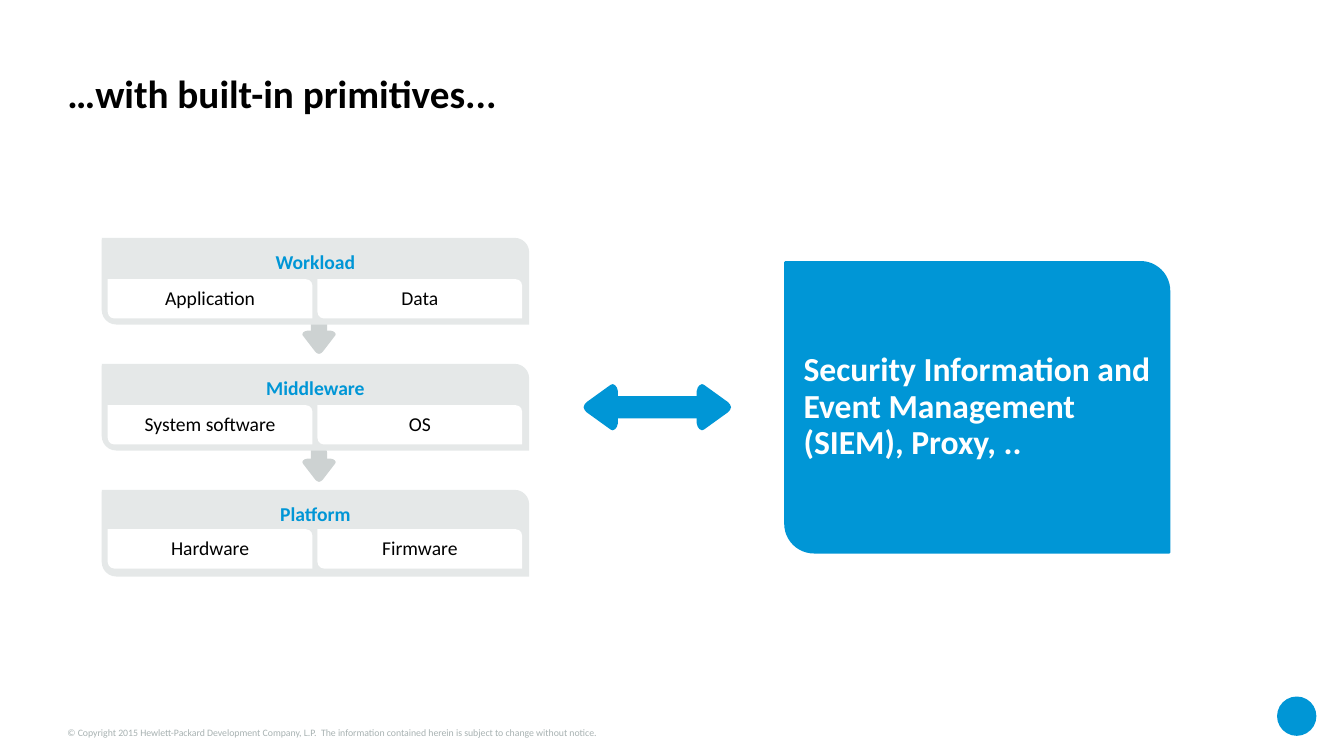
from dataclasses import dataclass

from pptx import Presentation
from pptx.dml.color import RGBColor
from pptx.enum.shapes import MSO_SHAPE as Preset
from pptx.enum.text import MSO_ANCHOR as Anchor, PP_ALIGN as Align
from pptx.util import Pt


@dataclass(frozen=True)
class Theme:
    font: str = "Calibri"
    blue: str = "0096D6"
    card: str = "E5E8E8"
    arrow: str = "CDD2D2"
    white: str = "FFFFFF"
    black: str = "000000"
    muted: str = "A8B2B2"
    title: int = 28
    statement: int = 24
    label: int = 14
    footer: int = 7


HEAD_EDGE = [(0, 0.7), (0.03, 0.85), (0.08, 0.95), (0.15, 1), (0.21, 0.97),
             (0.91, 0.22), (0.97, 0.12), (1, 0)]
HEAD_OUTLINE = HEAD_EDGE + [(along, -across) for along, across in HEAD_EDGE[-2::-1]]


class SlideBuilder:
    def __init__(self, slide, theme):
        self.slide = slide
        self.theme = theme

    def paint(self, shape, color):
        shape.shadow.inherit = False
        shape.fill.solid()
        shape.fill.fore_color.rgb = RGBColor.from_string(color)
        shape.line.fill.background()
        return shape

    def set_text(self, shape, text, size, color, bold=False, align=Align.LEFT,
                 anchor=Anchor.MIDDLE, insets=(0, 0), spacing=0.9):
        frame = shape.text_frame
        frame.word_wrap = True
        frame.vertical_anchor = anchor
        frame.margin_left = frame.margin_right = Pt(insets[0])
        frame.margin_top = frame.margin_bottom = Pt(insets[1])
        paragraph = frame.paragraphs[0]
        paragraph.text = text
        paragraph.alignment = align
        paragraph.line_spacing = spacing
        paragraph.font.name = self.theme.font
        paragraph.font.size = Pt(size)
        paragraph.font.bold = bold
        paragraph.font.color.rgb = RGBColor.from_string(color)

    def text_box(self, left, top, width, height, text, size, color, **style):
        shape = self.slide.shapes.add_textbox(Pt(left), Pt(top), Pt(width), Pt(height))
        self.set_text(shape, text, size, color, anchor=Anchor.BOTTOM, **style)

    def preset(self, kind, left, top, width, height, color):
        shape = self.slide.shapes.add_shape(kind, Pt(left), Pt(top), Pt(width), Pt(height))
        return self.paint(shape, color)

    def panel(self, left, top, width, height, color, rounding=0.167):
        shape = self.preset(Preset.ROUND_2_DIAG_RECTANGLE, left, top, width, height, color)
        shape.adjustments[0] = 0
        shape.adjustments[1] = rounding
        return shape

    def arrowhead(self, x, y, length, half, direction, color):
        dx, dy = direction
        points = [(Pt(x + along * length * dx - across * half * dy),
                   Pt(y + along * length * dy + across * half * dx))
                  for along, across in HEAD_OUTLINE]
        builder = self.slide.shapes.build_freeform(*points[0])
        builder.add_line_segments(points[1:])
        return self.paint(builder.convert_to_shape(), color)

    def group(self, *shapes):
        self.slide.shapes.add_group_shape(shapes)

    def down_arrow(self, center, top):
        color = self.theme.arrow
        self.group(self.panel(center - 5.75, top, 11.5, 14.4, color, 0.23),
                   self.arrowhead(center, top + 7.2, 16.6, 11.9, (0, 1), color))

    def double_arrow(self, left, right, middle):
        color = self.theme.blue
        length = 24.5
        self.group(self.panel(left + 8.6, middle - 7.9, right - left - 17.2, 15.8, color, 0.23),
                   self.arrowhead(right - length, middle, length, 16.5, (1, 0), color),
                   self.arrowhead(left + length, middle, length, 16.5, (-1, 0), color))

    def layer(self, top, name, parts, part_offset):
        theme = self.theme
        card = self.panel(72.7, top, 305.3, 61.9, theme.card)
        self.set_text(card, name, theme.label, theme.blue, bold=True, align=Align.CENTER,
                      anchor=Anchor.TOP, insets=(7.9, 7.2))
        for column, part in enumerate(parts):
            cell = self.panel(77 + 149.8 * column, top + part_offset, 146.2, 28.1, theme.white)
            self.set_text(cell, part, theme.label, theme.black, align=Align.CENTER,
                          insets=(10.8, 2.2))


LAYERS = [
    ("Workload", ("Application", "Data"), 29.5),
    ("Middleware", ("System software", "OS"), 29.5),
    ("Platform", ("Hardware", "Firmware"), 28.1),
]


def main():
    presentation = Presentation()
    presentation.slide_width = Pt(960)
    presentation.slide_height = Pt(540)
    theme = Theme()
    builder = SlideBuilder(presentation.slides.add_slide(presentation.slide_layouts[6]), theme)

    builder.text_box(48.2, 510.5, 519.8, 17.3,
                     "© Copyright 2015 Hewlett-Packard Development Company, L.P.  "
                     "The information contained herein is subject to change without notice.",
                     theme.footer, theme.muted, spacing=1.0)
    builder.preset(Preset.OVAL, 912.2, 497.5, 28.1, 28.1, theme.blue)
    builder.text_box(48.2, 23.8, 864, 59.8, "…with built-in primitives...",
                     theme.title, theme.black, bold=True)

    statement = builder.panel(560.9, 187.2, 274.3, 207.4, theme.blue, 0.099)
    statement.line.color.rgb = RGBColor.from_string(theme.blue)
    statement.line.width = Pt(1.5)
    builder.set_text(statement, "Security Information and Event Management (SIEM), Proxy, ..",
                     theme.statement, theme.white, bold=True, insets=(7.2, 3.6))

    for step in range(len(LAYERS) - 1):
        builder.down_arrow(227.9, 229 + 91.4 * step)
    for row, layer in enumerate(LAYERS):
        builder.layer(169.9 + 90 * row, *layer)
    builder.double_arrow(416.9, 522.2, 290.9)

    presentation.save("out.pptx")


if __name__ == "__main__":
    main()
